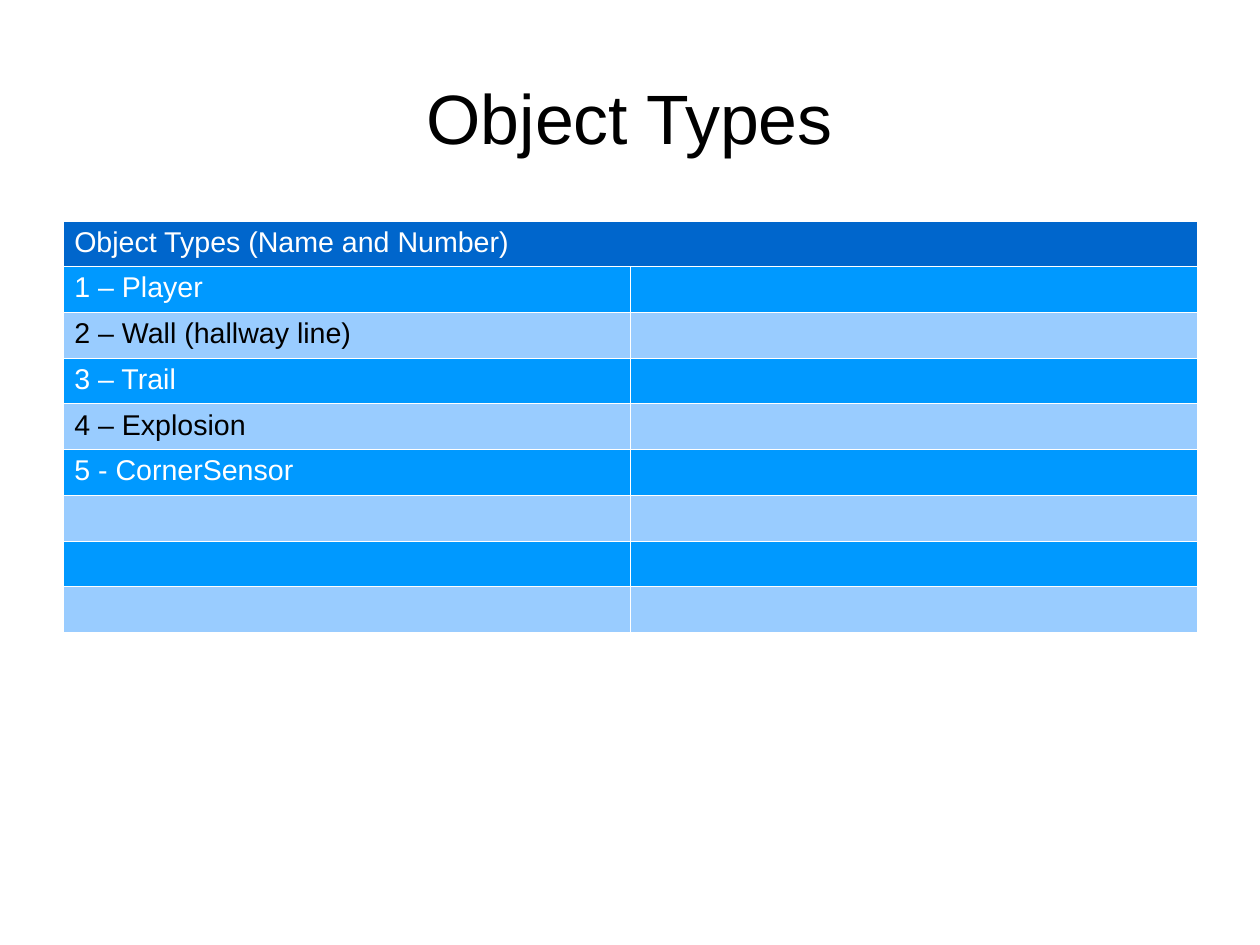
from lxml import etree
from pptx import Presentation
from pptx.dml.color import RGBColor
from pptx.enum import text as t
from pptx.oxml import ns
from pptx.util import Inches, Pt

TITLE = "Object Types"
HEAD = "Object Types (Name and Number)"
TYPES = ["1 – Player", "2 – Wall (hallway line)", "3 – Trail",
         "4 – Explosion", "5 - CornerSensor", "", "", ""]
HUES = {"head": "0066CC", "odd": "0099FF", "even": "99CCFF",
        "white": "FFFFFF", "black": "000000"}
FONT = "Arial"
CM = 1 / 2.54
WIDE, HIGH = 28 * CM, 21 * CM
LEFT, WIDTH = 0.55, 9.92
TOP, ROW = 1.93, 0.4
EDGE = Pt(0.06)


def hue(name):
    return RGBColor.from_string(HUES[name])


def write(frame, words, size, ink):
    run = frame.paragraphs[0].add_run()
    run.text = words
    run.font.name = FONT
    run.font.size = Pt(size)
    run.font.bold = False
    run.font.color.rgb = hue(ink)


def blank(cell):
    """Give an empty cell the table's font, which sets its least height."""
    para = cell.text_frame.paragraphs[0]._p
    end = etree.SubElement(para, ns.qn("a:endParaRPr"), sz="1800")
    etree.SubElement(end, ns.qn("a:latin"), typeface=FONT)


def edge(cell):
    """Draw a thin white line on all four sides of a cell."""
    props = cell._tc.get_or_add_tcPr()
    for side in ("a:lnL", "a:lnR", "a:lnT", "a:lnB"):
        line = etree.SubElement(props, ns.qn(side), w=str(int(EDGE)))
        fill = etree.SubElement(line, ns.qn("a:solidFill"))
        etree.SubElement(fill, ns.qn("a:srgbClr"), val=HUES["white"])


def paint(cell, name):
    edge(cell)
    cell.fill.solid()
    cell.fill.fore_color.rgb = hue(name)


def add_title(slide):
    title = slide.shapes.title
    title.left, title.top = Inches(LEFT), Inches(0.33)
    title.width, title.height = Inches(WIDTH), Inches(1.38)
    frame = title.text_frame
    frame.margin_left = frame.margin_right = 0
    frame.margin_top = frame.margin_bottom = 0
    frame.vertical_anchor = t.MSO_ANCHOR.MIDDLE
    frame.paragraphs[0].alignment = t.PP_ALIGN.CENTER
    write(frame, TITLE, 44, "black")


def add_types(slide):
    rows = [(HEAD, "head", "white")]
    for i, words in enumerate(TYPES):
        rows.append((words, "even", "black") if i % 2
                    else (words, "odd", "white"))
    table = slide.shapes.add_table(
        len(rows), 2, Inches(LEFT), Inches(TOP),
        Inches(WIDTH), Inches(ROW * len(rows))).table
    for r, (words, fill, ink) in enumerate(rows):
        for c, part in enumerate((words, "")):
            cell = table.cell(r, c)
            paint(cell, fill)
            if part:
                write(cell.text_frame, part, 18, ink)
            else:
                blank(cell)
    table.cell(0, 0).merge(table.cell(0, 1))


def main():
    deck = Presentation()
    deck.slide_width, deck.slide_height = Inches(WIDE), Inches(HIGH)
    deck.element.sldSz.attrib.pop("type", None)
    slide = deck.slides.add_slide(deck.slide_layouts[5])
    add_title(slide)
    add_types(slide)
    deck.save("out.pptx")


if __name__ == "__main__":
    main()
